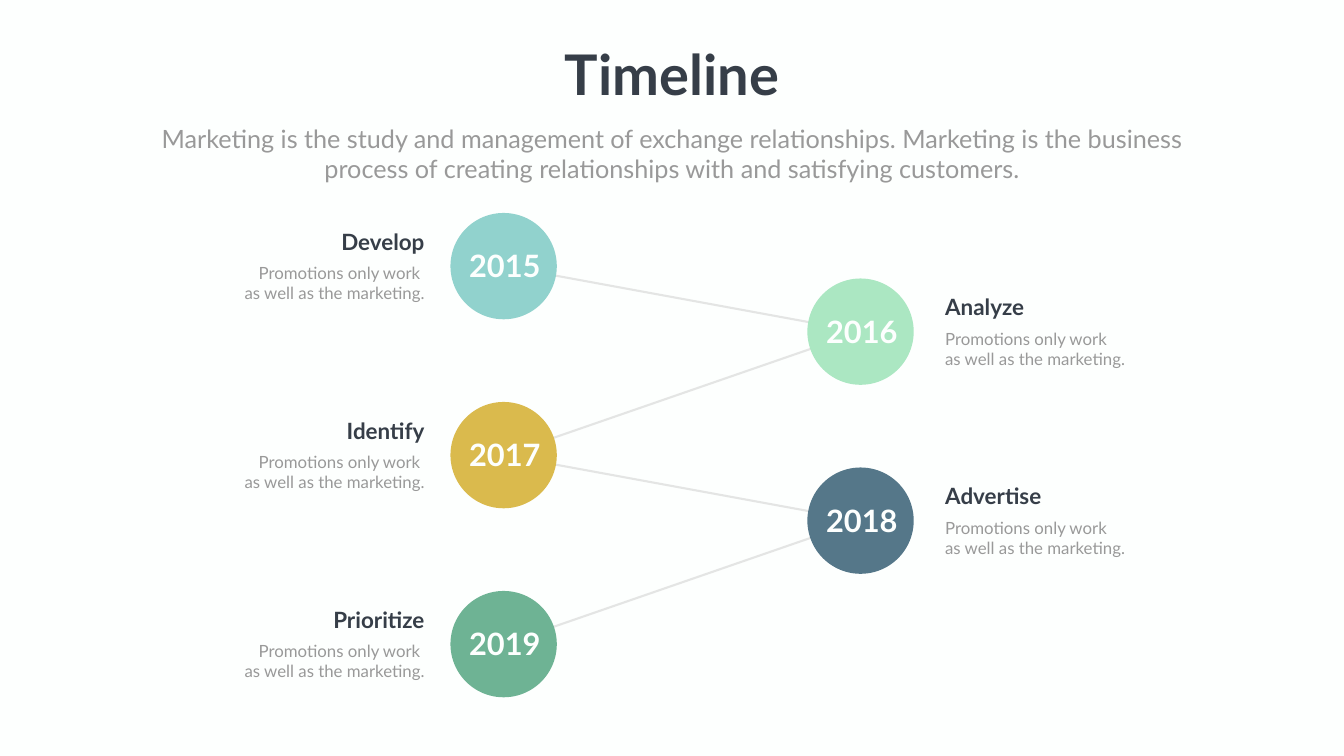
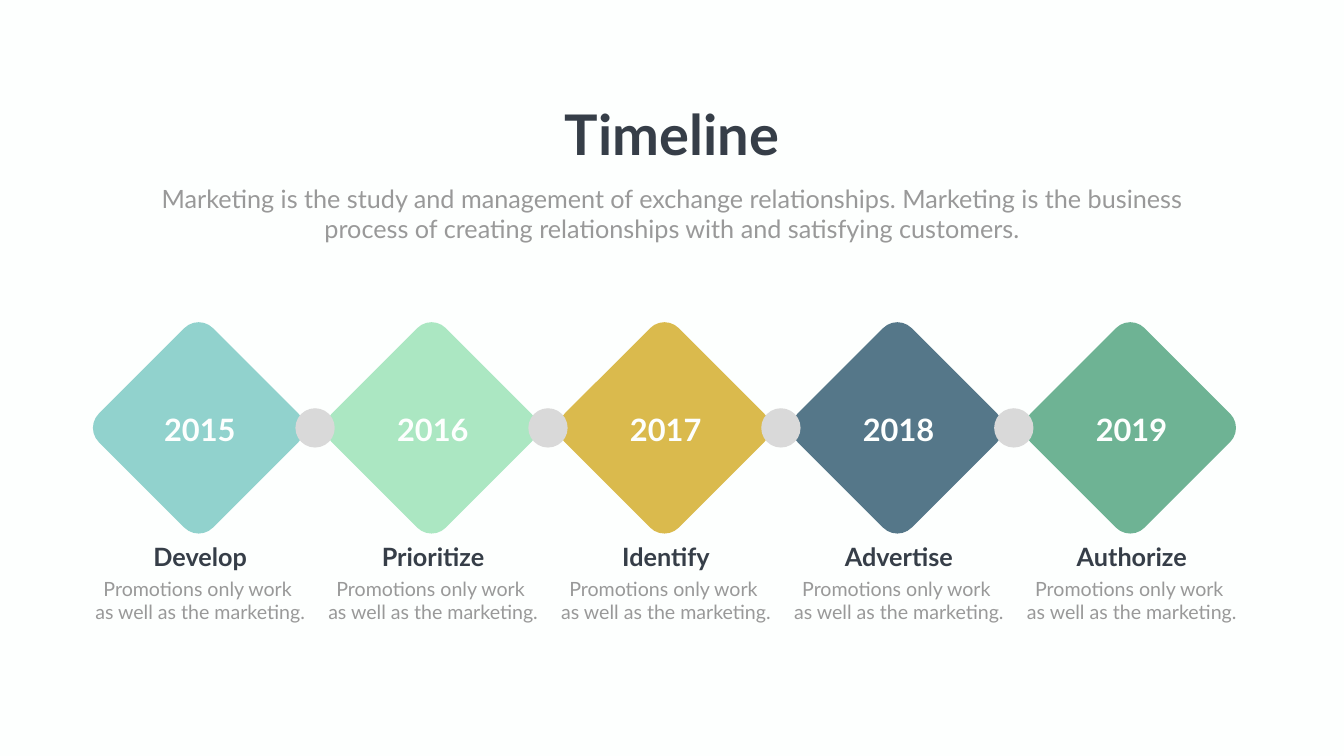
from lxml.etree import SubElement
from pptx import Presentation
from pptx.dml.color import RGBColor
from pptx.enum.shapes import MSO_SHAPE
from pptx.enum.text import MSO_ANCHOR, MSO_AUTO_SIZE, PP_ALIGN
from pptx.oxml.ns import qn
from pptx.util import Inches, Pt

# The grid: one column and one row are one inch
COLS, ROWS = 26.66, 15
FONT = "Lato"
HEX = {
    "back": "FDFFFE", "dark": "363E48", "gray": "999999",
    "line": "808080", "dot": "D9D9D9",
    "aqua": "91D2CD", "mint": "ABE7C2", "gold": "DABA4D",
    "blue": "557789", "green": "6EB394",
}
TONES = ["aqua", "mint", "gold", "blue", "green"]
YEARS = ["2015", "2016", "2017", "2018", "2019"]
LEAD = ("Marketing is the study and management of exchange relationships. "
        "Marketing is the business process of creating relationships with "
        "and satisfying customers.")
LEFT, MID, RIGHT = PP_ALIGN.LEFT, PP_ALIGN.CENTER, PP_ALIGN.RIGHT


def color(name):
    return RGBColor.from_string(HEX[name])


def cells(*sizes):
    return [Inches(size) for size in sizes]


def style(frame, text, size, tone, bold=False, align=MID, wrap=True):
    frame.word_wrap = wrap
    frame.auto_size = MSO_AUTO_SIZE.NONE
    frame.vertical_anchor = MSO_ANCHOR.TOP
    frame.text = text
    for para in frame.paragraphs:
        para.alignment = align
        font = para.font
        font.name, font.size, font.bold = FONT, Pt(size), bold
        font.color.rgb = color(tone)


def write(slide, box, text, size, tone, **look):
    area = slide.shapes.add_textbox(*cells(*box))
    style(area.text_frame, text, size, tone, **look)


def blob(slide, kind, x, y, side, tone):
    """Plain filled shape centred on x, y."""
    box = cells(x - side / 2, y - side / 2, side, side)
    shape = slide.shapes.add_shape(kind, *box)
    shape.shadow.inherit = False
    shape.fill.solid()
    shape.fill.fore_color.rgb = color(tone)
    shape.line.fill.background()
    return shape


def header(deck, top):
    """New slide with its title and lead text."""
    slide = deck.slides.add_slide(deck.slide_layouts[5])
    title = slide.shapes.title
    wide = 4.53
    title.left, title.top, title.width, title.height = cells(
        (COLS - wide) / 2, top, wide, 1.45)
    style(title.text_frame, "Timeline", 80, "dark", bold=True, wrap=False)
    wide = 21.3
    write(slide, ((COLS - wide) / 2, top + 1.66, wide, 1.31),
          LEAD, 36, "gray")
    return slide


def year(slide, x, y, text):
    write(slide, (x - 1.28, y, 2.61, 0.84), text, 44, "back", bold=True)


def label(slide, x, y, name, align, size):
    """Heading and note; x is the edge or centre they align on."""
    share = {LEFT: 0, MID: 0.5, RIGHT: 1}[align]
    gap = "" if align == LEFT else " "
    note = f"Promotions only work{gap}\nas well as the marketing."
    write(slide, (x - 2.61 * share, y, 2.61, size / 50), name, size, "dark",
          bold=True, align=align)
    write(slide, (x - 4.94 * share, y + 0.7, 4.94, 1), note, size - 8, "gray",
          align=align)


def thread(slide, spots):
    """Faint line through all spots."""
    points = [cells(*spot) for spot in spots]
    path = slide.shapes.build_freeform(*points[0])
    path.add_line_segments(points[1:], close=False)
    shape = path.convert_to_shape()
    shape.shadow.inherit = False
    shape.fill.background()
    shape.line.width = Pt(3)
    shape.line.color.rgb = color("line")
    tint = shape.line._get_or_add_ln().find(".//" + qn("a:srgbClr"))
    SubElement(tint, qn("a:alpha")).set("val", "20000")


def zigzag(deck):
    slide = header(deck, 0.74)
    names = ["Develop", "Analyze", "Identify", "Advertise", "Prioritize"]
    # Two columns of circles; the right one sits lower
    spots = [(17.07, 6.58 + 3.75 * (i // 2)) if i % 2
             else (9.99, 5.28 + 3.75 * (i // 2)) for i in range(len(names))]
    thread(slide, spots)
    for i, (x, y) in enumerate(spots):
        blob(slide, MSO_SHAPE.OVAL, x, y, 2.11, TONES[i])
        year(slide, x, y - 0.43, YEARS[i])
        edge, align = (x + 1.58, LEFT) if i % 2 else (x - 1.47, RIGHT)
        label(slide, edge, y - 0.81, names[i], align, 32)


def chain(deck):
    slide = header(deck, 1.92)
    names = ["Develop", "Prioritize", "Identify", "Advertise", "Authorize"]
    pitch, y = 4.62, 8.49
    spots = [3.94 + pitch * i for i in range(len(names))]
    # Diamonds
    for x, tone in zip(spots, TONES):
        gem = blob(slide, MSO_SHAPE.ROUNDED_RECTANGLE, x, y, 3.2, tone)
        gem.adjustments[0] = 0.125
        gem.rotation = 45
    # Links between them
    for x in spots[:-1]:
        blob(slide, MSO_SHAPE.OVAL, x + pitch / 2, y, 0.78, "dot")
    # Text
    for x, date, name in zip(spots, YEARS, names):
        year(slide, x, y - 0.4, date)
        label(slide, x + 0.03, y + 2.2, name, MID, 36)


def main():
    deck = Presentation()
    deck.slide_width, deck.slide_height = cells(COLS, ROWS)
    fill = deck.slide_master.background.fill
    fill.solid()
    fill.fore_color.rgb = color("back")
    zigzag(deck)
    chain(deck)
    deck.save("out.pptx")


if __name__ == "__main__":
    main()
